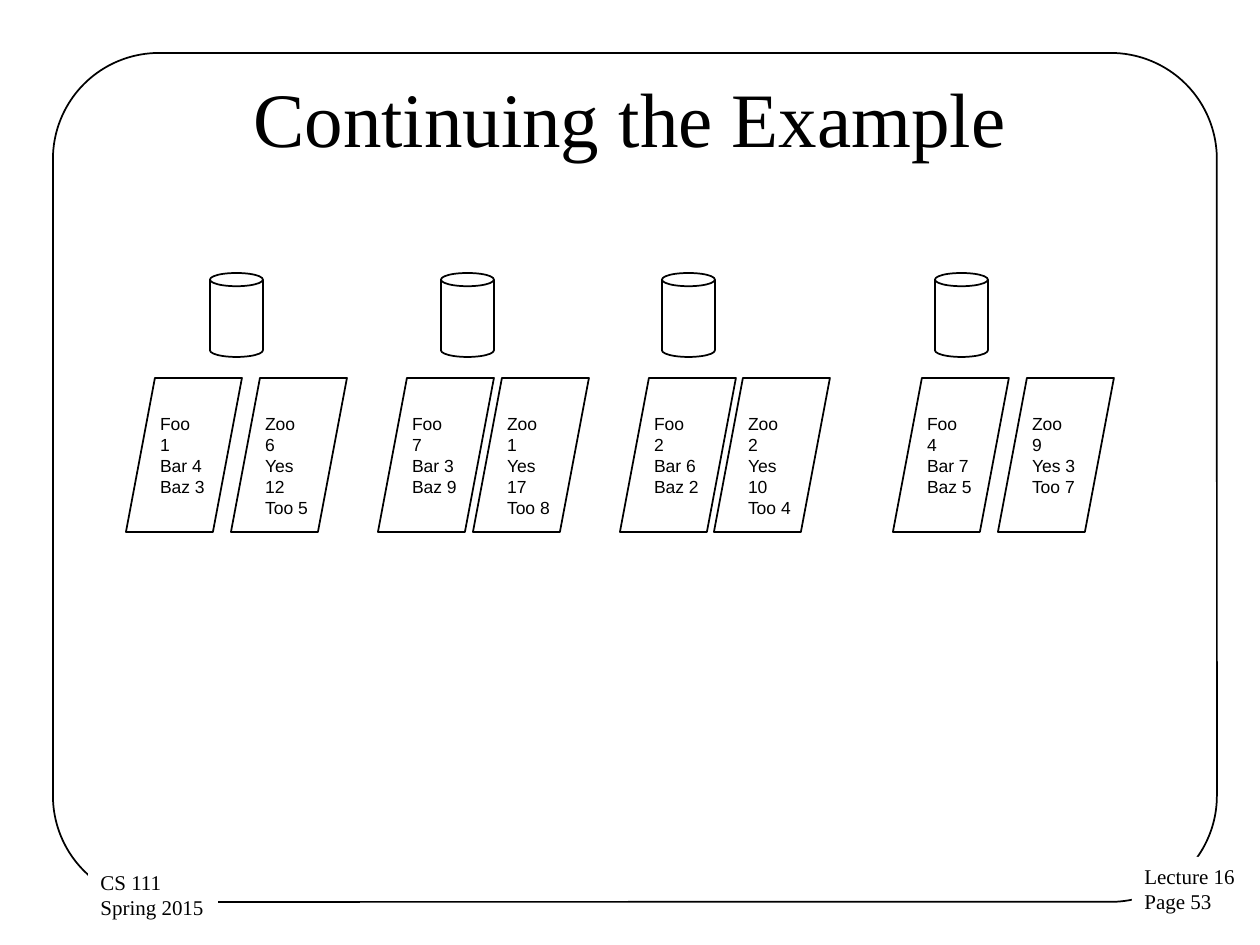
import pptx
import pptx.util
import pptx.dml.color
import pptx.enum.shapes
import pptx.enum.text

PX = 914400 // 126  # EMU per px
COLORS = {"ink": "000000", "paper": "FFFFFF"}
SHAPES = pptx.enum.shapes.MSO_SHAPE
ANCHOR = pptx.enum.text.MSO_ANCHOR
ALIGN = pptx.enum.text.PP_ALIGN


def rgb(name):
    return pptx.dml.color.RGBColor.from_string(COLORS[name])


def add_box(kind, x, y, w, h, lines=(), font="Arial", size=10, outlined=True):
    sp = s.shapes.add_shape(kind, x * PX, y * PX, w * PX, h * PX)
    sp.shadow.inherit = False
    if outlined:
        sp.fill.background()
        sp.line.color.rgb = rgb("ink")
        sp.line.width = pptx.util.Pt(1)
    else:
        sp.fill.solid()
        sp.fill.fore_color.rgb = rgb("paper")
        sp.line.fill.background()
    tf = sp.text_frame
    tf.vertical_anchor = ANCHOR.TOP
    for i, line in enumerate(lines):
        p = tf.paragraphs[0] if i == 0 else tf.add_paragraph()
        p.alignment = ALIGN.LEFT
        r = p.add_run()
        r.text = line
        r.font.name = font
        r.font.size = pptx.util.Pt(size)
        r.font.color.rgb = rgb("ink")
    return sp


prs = pptx.Presentation()
prs.slide_width, prs.slide_height = 1260 * PX, 945 * PX
s = prs.slides.add_slide(prs.slide_layouts[5])

# Title
title = s.shapes.title
title.left, title.top, title.width, title.height = 63 * PX, 38 * PX, 1134 * PX, 158 * PX
tf = title.text_frame
tf.vertical_anchor = ANCHOR.MIDDLE
p = tf.paragraphs[0]
p.alignment = ALIGN.CENTER
r = p.add_run()
r.text = "Continuing the Example"
r.font.name = "Times New Roman"
r.font.size = pptx.util.Pt(44)
r.font.color.rgb = rgb("ink")

# Rounded frame
frame = add_box(SHAPES.ROUNDED_RECTANGLE, 53, 53, 1164, 849)
frame.adjustments[0] = 0.125

# Corner labels covering the frame
for x, y, w, lines in [
    (1132, 857, 117, ["Lecture 16", "Page 53"]),
    (88, 863, 130, ["CS 111", "Spring 2015"]),
]:
    label = add_box(SHAPES.RECTANGLE, x, y, w, 64, lines, "Times New Roman", 12, outlined=False)
    label.text_frame.word_wrap = False
    label.text_frame.auto_size = pptx.enum.text.MSO_AUTO_SIZE.SHAPE_TO_FIT_TEXT

# Each disk with its two output pages: disk x, then (page x, lines)
disks = [
    (210, (126, ["Foo  1", "Bar 4", "Baz 3"]), (231, ["Zoo  6", "Yes 12", "Too 5"])),
    (441, (378, ["Foo  7", "Bar 3", "Baz 9"]), (473, ["Zoo  1", "Yes 17", "Too 8"])),
    (662, (620, ["Foo  2", "Bar 6", "Baz 2"]), (714, ["Zoo  2", "Yes 10", "Too 4"])),
    (935, (893, ["Foo  4", "Bar 7", "Baz 5"]), (998, ["Zoo  9", "Yes 3", "Too 7"])),
]
for disk_x, *pages in disks:
    add_box(SHAPES.CAN, disk_x, 273, 53, 84)
    for page_x, lines in pages:
        page = add_box(SHAPES.PARALLELOGRAM, page_x, 378, 116, 154, lines)
        page.adjustments[0] = 0.25

prs.save("out.pptx")
